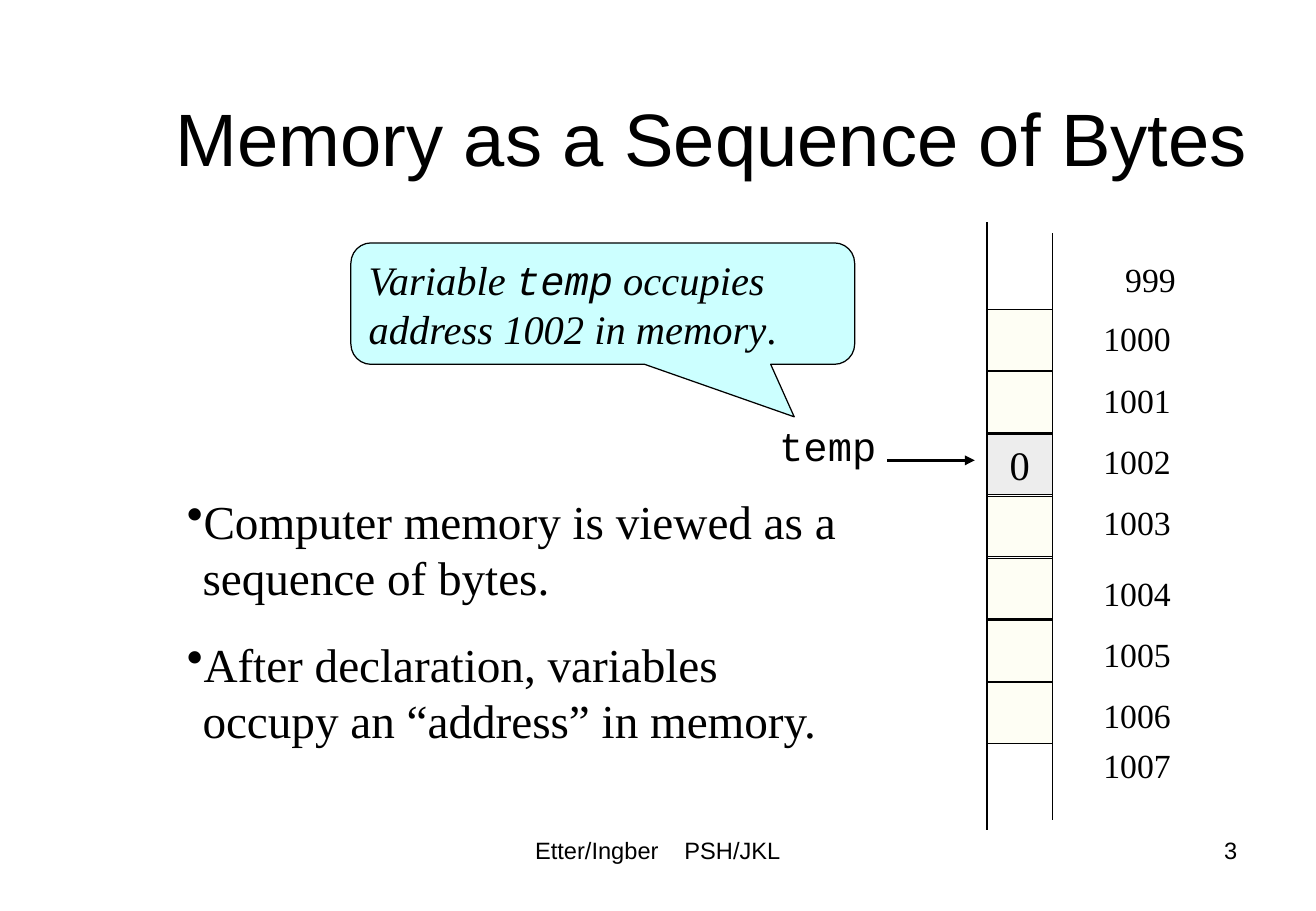
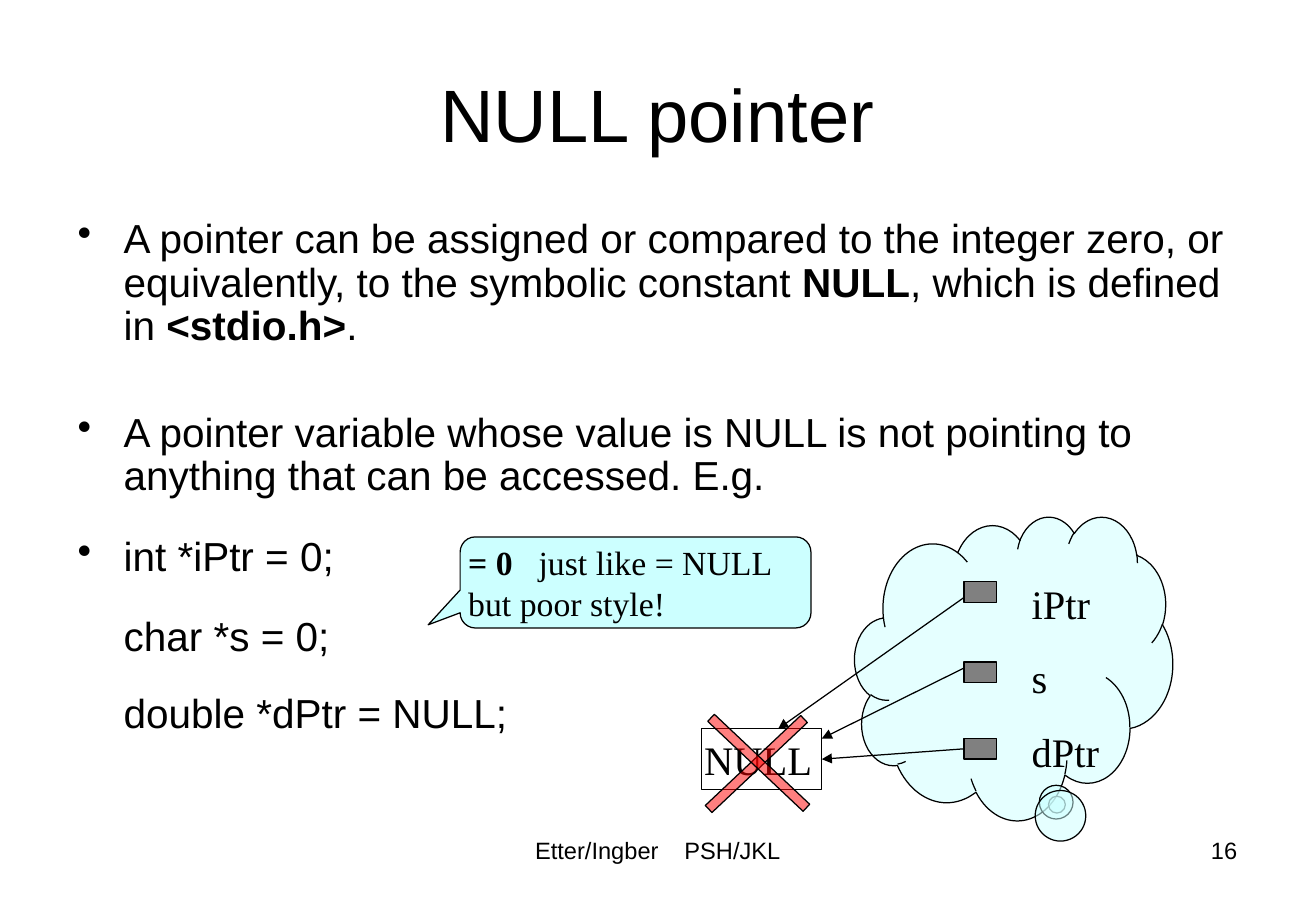
import pptx
import pptx.util
import pptx.dml.color
import pptx.enum.shapes
import pptx.enum.text
from lxml import etree

Inches, Pt = pptx.util.Inches, pptx.util.Pt
SHAPE = pptx.enum.shapes.MSO_SHAPE
ALIGN = pptx.enum.text.PP_ALIGN
ANCHOR = pptx.enum.text.MSO_ANCHOR
STRAIGHT = pptx.enum.shapes.MSO_CONNECTOR.STRAIGHT
A = "http://schemas.openxmlformats.org/drawingml/2006/main"

COLORS = {
    "ink": "000000", "paper": "FFFFFF", "byte": "FEFEF4", "used": "DDDDDD",
    "callout": "CCFFFF", "pointer": "808080", "cross": "FF0000",
}
SANS, SERIF, MONO = "Arial", "Times New Roman", "Courier New"
FOOTER = "Etter/Ingber\tPSH/JKL"

MEMORY = {
    "title": "Memory as a Sequence of Bytes",
    "title_box": (1.26, 0.5, 9.21, 1.25),
    "number": "3",
    "cells": ["", "", "0", "", "", "", ""],
    "addresses": [
        ("999", 9.17, 2.08), ("1000", 8.99, 2.57), ("1001", 8.99, 3.08),
        ("1002", 8.99, 3.58), ("1003", 8.99, 4.08), ("1004", 8.99, 4.67),
        ("1005", 8.99, 5.17), ("1006", 8.99, 5.67), ("1007", 8.99, 6.08),
    ],
    "rails": [
        (8.13, [(2.33, 1.83), (2.17, 6.5), (6.83, 6.33)]),
        (8.67, [(2.25, 6.58), (2.42, 1.92), (6.75, 6.25)]),
    ],
    "bullets": [
        "Computer memory is viewed as a sequence of bytes.",
        "After declaration, variables occupy an “address” in memory.",
    ],
    "callout": [
        [("Variable ", {"i": True}), ("temp", {"i": True, "font": MONO}),
         (" occupies", {"i": True})],
        [("address 1002 in memory", {"i": True}), (".", {})],
    ],
}
NULL = {
    "title": "NULL pointer",
    "title_box": (0.54, 0.3, 9.75, 1.25),
    "number": "16",
    "body": [
        (0, True, [
            ("A pointer can be assigned or compared to the integer zero, or "
             "equivalently, to the symbolic constant ", {}),
            ("NULL", {"b": True}), (", which is defined in ", {}),
            ("<stdio.h>", {"b": True}), (".", {})]),
        (37, True, "A pointer variable whose value is NULL is not pointing to "
                   "anything that can be accessed. E.g."),
        (22, True, "int *iPtr = 0;"),
        (21.5, False, "char *s = 0;"),
        (19.5, False, "double *dPtr = NULL;"),
    ],
    "callout": [
        [("= 0", {"b": True}), ("\tjust like = NULL", {})],
        "but poor style!",
    ],
    "pointers": ["iPtr", "s", "dPtr"],
    "pointer_tops": [4.79, 5.45, 6.08],
    "arrows": [((7.94, 4.92), (6.41, 6)), ((7.94, 5.5), (6.77, 6.08)),
               ((7.94, 6.17), (6.77, 6.25))],
    "cross": [(6.19, 5.75, 46.7), (6.21, 5.74, 313.3)],
}


def rgb(name):
    return pptx.dml.color.RGBColor.from_string(COLORS[name])


def add_paragraph(tf, content, size, font, first, align=None, before=0,
                  spacing=None, indent=0, bullet=False, tab=None):
    p = tf.paragraphs[0] if first else tf.add_paragraph()
    pPr = p._p.get_or_add_pPr()
    if indent:
        pPr.set("marL", str(Inches(indent)))
        pPr.set("indent", str(-Inches(indent) if bullet else 0))
    if bullet:
        etree.SubElement(pPr, f"{{{A}}}buChar", char="•")
    if tab:
        tabs = etree.SubElement(pPr, f"{{{A}}}tabLst")
        etree.SubElement(tabs, f"{{{A}}}tab", pos=str(Inches(tab)), algn="l")
    p.alignment = align or ALIGN.LEFT
    p.space_before = Pt(0 if first else before)
    if spacing:
        p.line_spacing = spacing
    for text, style in [(content, {})] if isinstance(content, str) else content:
        r = p.add_run()
        r.text = text
        r.font.size = Pt(size)
        r.font.name = style.get("font", font)
        r.font.bold = style.get("b", False)
        r.font.italic = style.get("i", False)
        r.font.color.rgb = rgb("ink")


def write(sp, paragraphs, size, font, anchor=ANCHOR.TOP, inset=0.1, **style):
    tf = sp.text_frame
    tf.word_wrap = True
    tf.vertical_anchor = anchor
    tf.margin_left = tf.margin_right = Inches(inset)
    tf.margin_top = tf.margin_bottom = Inches(0.05)
    for i, content in enumerate(paragraphs):
        add_paragraph(tf, content, size, font, i == 0, **style)
    return tf


def add_text(s, box, paragraphs, size, font, **style):
    sp = s.shapes.add_textbox(*map(Inches, box))
    return write(sp, paragraphs, size, font, **style)


def add_shape(s, kind, box, fill, alpha=None, adjust=(), rotation=0):
    sp = s.shapes.add_shape(kind, *map(Inches, box))
    sp.shadow.inherit = False
    sp.fill.solid()
    sp.fill.fore_color.rgb = rgb(fill)
    if alpha:
        clr = sp.fill._xPr.find(f".//{{{A}}}srgbClr")
        etree.SubElement(clr, f"{{{A}}}alpha", val=str(alpha * 1000))
    sp.line.color.rgb = rgb("ink")
    sp.line.width = Pt(0.75)
    sp.rotation = rotation
    for i, value in enumerate(adjust):
        sp.adjustments[i] = value
    return sp


def add_line(s, start, end, width=0.75, arrow=False):
    cx = s.shapes.add_connector(STRAIGHT, *map(Inches, start + end))
    cx.line.color.rgb = rgb("ink")
    cx.line.width = Pt(width)
    if arrow:
        etree.SubElement(cx.line._get_or_add_ln(), f"{{{A}}}tailEnd", type="triangle")
    etree.SubElement(cx._element.spPr, f"{{{A}}}effectLst")
    return cx


def add_slide(prs, data):
    s = prs.slides.add_slide(prs.slide_layouts[6])
    add_text(s, (4.31, 6.83, 2.4, 0.52), [FOOTER], 14, SANS, tab=1.23)
    add_text(s, (7.76, 6.83, 2.53, 0.52), [data["number"]], 14, SANS, align=ALIGN.RIGHT)
    add_text(s, data["title_box"], [data["title"]], 44, SANS,
             anchor=ANCHOR.MIDDLE, align=ALIGN.CENTER)
    return s


def memory_slide(prs):
    s = add_slide(prs, MEMORY)
    for i, value in enumerate(MEMORY["cells"]):
        box = (8.13, 2.55 + i * 3.07 / 6, 0.54, 0.5)
        if value:
            cell = add_shape(s, SHAPE.RECTANGLE, box, "used", alpha=50)
            write(cell, [value], 24, SERIF, align=ALIGN.CENTER)
        else:
            add_shape(s, SHAPE.RECTANGLE, box, "byte")
    for x, spans in MEMORY["rails"]:
        for top, bottom in spans:
            add_line(s, (x, top), (x, bottom))
    for address, x, y in MEMORY["addresses"]:
        add_text(s, (x, y, 0.94, 0.44), [address], 20, SERIF)
    add_line(s, (7.31, 3.79), (8.03, 3.79), 1.5, arrow=True)
    add_text(s, (6.32, 3.42, 1.08, 0.5), ["temp"], 24, MONO)
    add_text(s, (1.44, 4, 5.78, 2.21), MEMORY["bullets"], 28, SERIF,
             before=17.5, indent=0.13, bullet=True)
    callout = add_shape(s, SHAPE.ROUNDED_RECTANGULAR_CALLOUT, (2.89, 2, 4.15, 1),
                        "callout", adjust=(0.38, 0.932, 0.167))
    write(callout, MEMORY["callout"], 24, SERIF, anchor=ANCHOR.MIDDLE)


def null_slide(prs):
    s = add_slide(prs, NULL)
    add_shape(s, SHAPE.CLOUD_CALLOUT, (7.04, 4.25, 2.62, 2.5), "callout",
              alpha=50, adjust=(0.136, 0.45))
    tf = add_text(s, (0.54, 1.75, 9.75, 4.95), [], 24, SANS)
    for i, (before, bullet, content) in enumerate(NULL["body"]):
        add_paragraph(tf, content, 24, SANS, i == 0, before=before,
                      spacing=0.9, indent=0.38, bullet=bullet)
    add_text(s, (8.4, 4.72, 1.17, 1.72), NULL["pointers"], 24, SERIF, before=15)
    pointers = [add_shape(s, SHAPE.RECTANGLE, (7.94, top, 0.27, 0.17), "pointer")
                for top in NULL["pointer_tops"]]
    callout = add_shape(s, SHAPE.ROUNDED_RECTANGULAR_CALLOUT, (3.79, 4.42, 2.89, 0.75),
                        "callout", adjust=(-0.591, 0.465, 0.167))
    write(callout, NULL["callout"], 20, SERIF, anchor=ANCHOR.MIDDLE, inset=0.03, tab=0.58)
    target = add_shape(s, SHAPE.RECTANGLE, (5.78, 6, 0.99, 0.5), "paper")
    write(target, ["NULL"], 24, SERIF, inset=0.02)
    arrows = [add_line(s, start, end, arrow=True) for start, end in NULL["arrows"]]
    arrows[-1].begin_connect(pointers[-1], 1)
    arrows[-1].end_connect(target, 3)
    for x, y, angle in NULL["cross"]:
        add_shape(s, SHAPE.RECTANGLE, (x, y, 0.08, 1.08), "cross", alpha=50, rotation=angle)


def main():
    prs = pptx.Presentation()
    prs.slide_width, prs.slide_height = Inches(10.84), Inches(7.5)
    memory_slide(prs)
    null_slide(prs)
    prs.save("out.pptx")


if __name__ == "__main__":
    main()
